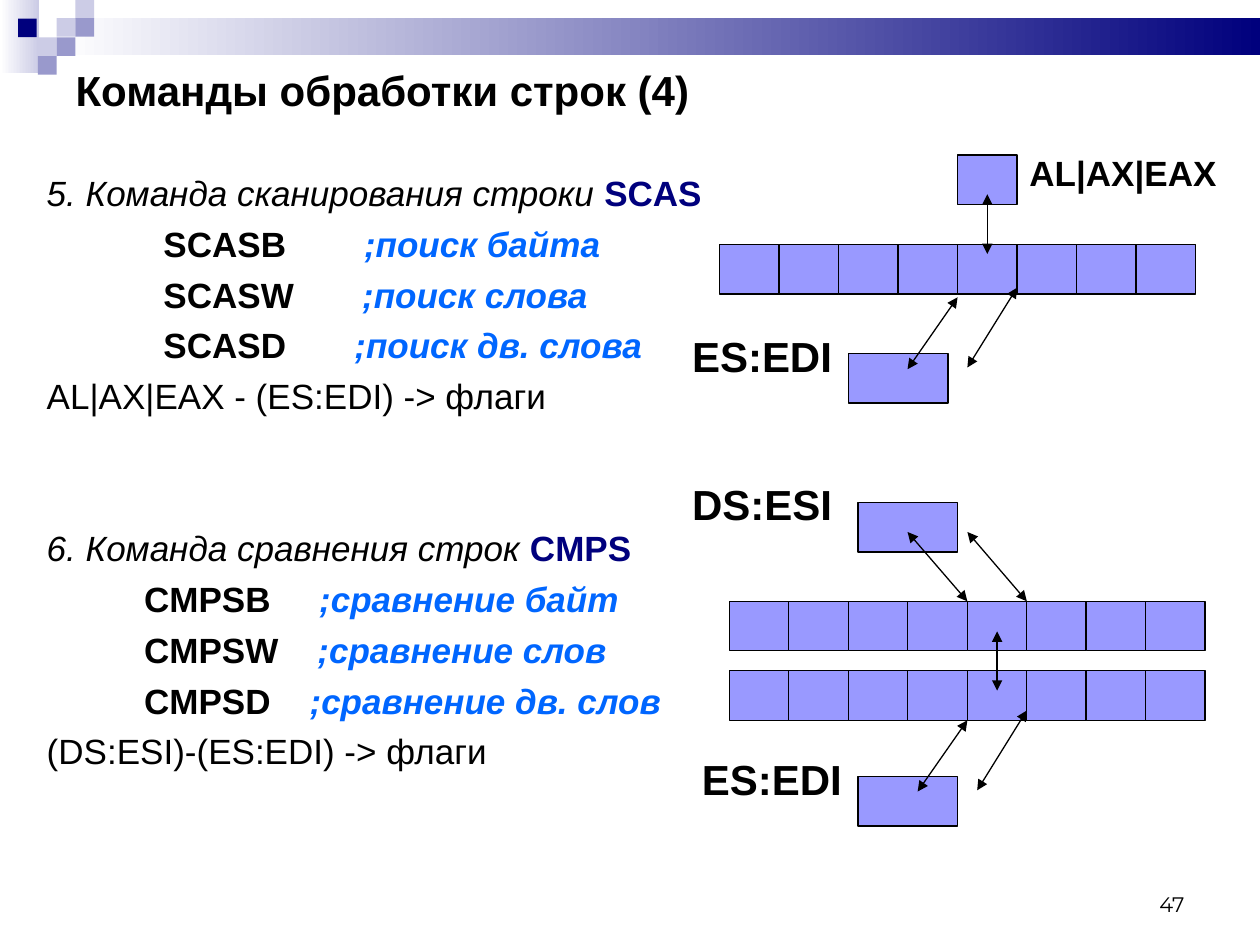
from pptx import Presentation
from pptx.dml.color import RGBColor
from pptx.enum.shapes import MSO_CONNECTOR, MSO_SHAPE
from pptx.enum.text import MSO_ANCHOR, MSO_AUTO_SIZE, PP_ALIGN
from pptx.oxml.xmlchemy import OxmlElement
from pptx.util import Pt

RECT, STRAIGHT = MSO_SHAPE.RECTANGLE, MSO_CONNECTOR.STRAIGHT
LEFT, RIGHT = PP_ALIGN.LEFT, PP_ALIGN.RIGHT
TOP, MIDDLE, BOTTOM = MSO_ANCHOR.TOP, MSO_ANCHOR.MIDDLE, MSO_ANCHOR.BOTTOM

THEME = {
    "font": "Arial", "number_font": "Montserrat",
    "big": 24, "text": 20, "small": 12,
    "black": RGBColor.from_string("000000"), "white": RGBColor.from_string("FFFFFF"),
    "navy": RGBColor.from_string("00007D"), "blue": RGBColor.from_string("0066FF"),
    "cell": RGBColor.from_string("9999FF"), "pale": RGBColor.from_string("CCCCE6"),
    "mid": RGBColor.from_string("9999CC"),
}

prs = Presentation()
prs.slide_width, prs.slide_height = Pt(720), Pt(540)
s = prs.slides.add_slide(prs.slide_layouts[1])


def add_text(p, text, size=THEME["text"], color=THEME["black"], bold=False,
             italic=False, font=THEME["font"], spacing=0):
    r = p.add_run()
    r.text = text
    r.font.name, r.font.size = font, Pt(size)
    r.font.bold, r.font.italic = bold, italic
    r.font.color.rgb = color
    if spacing:
        r._r.get_or_add_rPr().set("spc", str(round(spacing * 100)))


def add_rect(x, y, w, h, color, fade=False, outline=False):
    sp = s.shapes.add_shape(RECT, Pt(x), Pt(y), Pt(w), Pt(h))
    sp.shadow.inherit = False
    if fade:
        sp.fill.gradient()
        sp.fill.gradient_angle = 180
        for stop, stop_color in zip(sp.fill.gradient_stops, (color, THEME["white"])):
            stop.color.rgb = stop_color
    else:
        sp.fill.solid()
        sp.fill.fore_color.rgb = color
    if outline:
        sp.line.color.rgb = THEME["black"]
        sp.line.width = Pt(0.75)
    else:
        sp.line.fill.background()


# Header band and squares
add_rect(0, 0, 22.3, 41.8, THEME["pale"], fade=True)
add_rect(32.4, 10.3, 687.6, 21.4, THEME["navy"], fade=True)
SQUARE = 10.7
for x, y, color in [(32.4, 10.3, "pale"), (43.1, 0, "pale"), (43.1, 10.3, "mid"),
                    (21.7, 21.3, "pale"), (10.3, 10.6, "navy"),
                    (32.4, 21.3, "mid"), (21.7, 32, "mid")]:
    add_rect(x, y, SQUARE, SQUARE, THEME[color])

# Title
title = s.shapes.title
title.left, title.top, title.width, title.height = Pt(36), Pt(33), Pt(648), Pt(36)
tf = title.text_frame
tf.auto_size, tf.vertical_anchor = MSO_AUTO_SIZE.NONE, MIDDLE
p = tf.paragraphs[0]
p.alignment = LEFT
add_text(p, "Команды обработки строк (4)", size=THEME["big"], bold=True)

# Command list: space before, left indent and styled runs of each paragraph
STYLES = {
    "plain": {},
    "heading": {"italic": True},
    "name": {"bold": True, "color": THEME["navy"]},
    "command": {"bold": True},
    "wide gap": {"bold": True, "spacing": 38.9},
    "scan gap": {"bold": True, "spacing": 33.4},
    "compare wide gap": {"bold": True, "spacing": 22.2},
    "compare gap": {"bold": True, "spacing": 16.7},
    "comment": {"bold": True, "italic": True, "color": THEME["blue"]},
}
GAP, SECTION_GAP = 5, 63
SCAN_INDENT, COMPARE_INDENT = 66.7, 55.6
lines = [
    (0, 0, [("5. Команда сканирования строки ", "heading"), ("SCAS", "name")]),
    (GAP, SCAN_INDENT,
     [("SCASB", "command"), (" ", "wide gap"), (";поиск байта", "comment")]),
    (GAP, SCAN_INDENT,
     [("SCASW", "command"), (" ", "scan gap"), (";поиск слова", "comment")]),
    (GAP, SCAN_INDENT,
     [("SCASD", "command"), (" ", "scan gap"), (";поиск дв. слова", "comment")]),
    (GAP, 0, [("AL|AX|EAX - (ES:EDI) -> флаги", "plain")]),
    (SECTION_GAP, 0, [("6. Команда сравнения строк ", "heading"), ("CMPS", "name")]),
    (GAP, COMPARE_INDENT,
     [("СMPSB", "command"), (" ", "compare wide gap"), (";сравнение байт", "comment")]),
    (GAP, COMPARE_INDENT,
     [("СMPSW", "command"), (" ", "compare gap"), (";сравнение слов", "comment")]),
    (GAP, COMPARE_INDENT,
     [("СMPSD", "command"), (" ", "compare gap"), (";сравнение дв. слов", "comment")]),
    (GAP, 0, [("(DS:ESI)-(ES:EDI) -> флаги", "plain")]),
]
body = s.placeholders[1]
body.left, body.top, body.width, body.height = Pt(19.5), Pt(94.4), Pt(648), Pt(388)
tf = body.text_frame
tf.auto_size, tf.vertical_anchor = MSO_AUTO_SIZE.NONE, TOP
for i, (before, indent, runs) in enumerate(lines):
    p = tf.add_paragraph() if i else tf.paragraphs[0]
    pPr = p._p.get_or_add_pPr()
    pPr.set("marL", str(Pt(indent)))
    pPr.set("indent", "0")
    pPr.append(OxmlElement("a:buNone"))
    p.space_before = Pt(before)
    for text, style in runs:
        add_text(p, text, **STYLES[style])

# Memory strings of eight cells
CELL_W, CELL_H = 34, 28.3
for x, y in [(411.2, 139.7), (416.7, 343.6), (416.7, 383.3)]:
    for i in range(8):
        add_rect(x + i * CELL_W, y, CELL_W, CELL_H, THEME["cell"], outline=True)

# Accumulator and pointer registers
for x, y, w in [(547.2, 88.6, CELL_W), (485, 202, 56.7),
                (490.4, 287.2, 56.7), (490.4, 443.7, 56.7)]:
    add_rect(x, y, w, CELL_H, THEME["cell"], outline=True)

# Register labels and slide number
bold_big = {"size": THEME["big"], "bold": True}
number = {"size": THEME["small"], "font": THEME["number_font"]}
for text, x, y, w, h, align, anchor, style in [
    ("AL|AX|EAX", 581.2, 83, 125, 32, LEFT, TOP, {"bold": True}),
    ("ES:EDI", 388.4, 185.2, 102, 36, LEFT, TOP, bold_big),
    ("DS:ESI", 388.4, 270, 108, 36, LEFT, TOP, bold_big),
    ("ES:EDI", 394, 426.8, 102, 36, LEFT, TOP, bold_big),
    ("47", 516, 491.5, 168, 36, RIGHT, BOTTOM, number),
]:
    tf = s.shapes.add_textbox(Pt(x), Pt(y), Pt(w), Pt(h)).text_frame
    tf.word_wrap, tf.vertical_anchor = True, anchor
    p = tf.paragraphs[0]
    p.alignment = align
    add_text(p, text, **style)

# Double-headed arrows
for x1, y1, x2, y2 in [
    (564.2, 145.2, 564.2, 111), (518.6, 211, 547.2, 169.9), (552.8, 210, 581.2, 164.4),
    (518.6, 304, 552.8, 343.6), (552.8, 304, 586.8, 343.6), (569.8, 360.8, 569.8, 394.7),
    (524.4, 452.3, 552.8, 411.6), (558.4, 451.6, 586.8, 406),
]:
    arrow = s.shapes.add_connector(STRAIGHT, Pt(x1), Pt(y1), Pt(x2), Pt(y2))
    arrow.line.color.rgb = THEME["black"]
    arrow.line.width = Pt(0.75)
    ln = arrow.line._get_or_add_ln()
    for end in ("a:headEnd", "a:tailEnd"):
        head = OxmlElement(end)
        head.set("type", "triangle")
        ln.append(head)
    arrow._element.spPr.append(OxmlElement("a:effectLst"))

prs.save("out.pptx")
